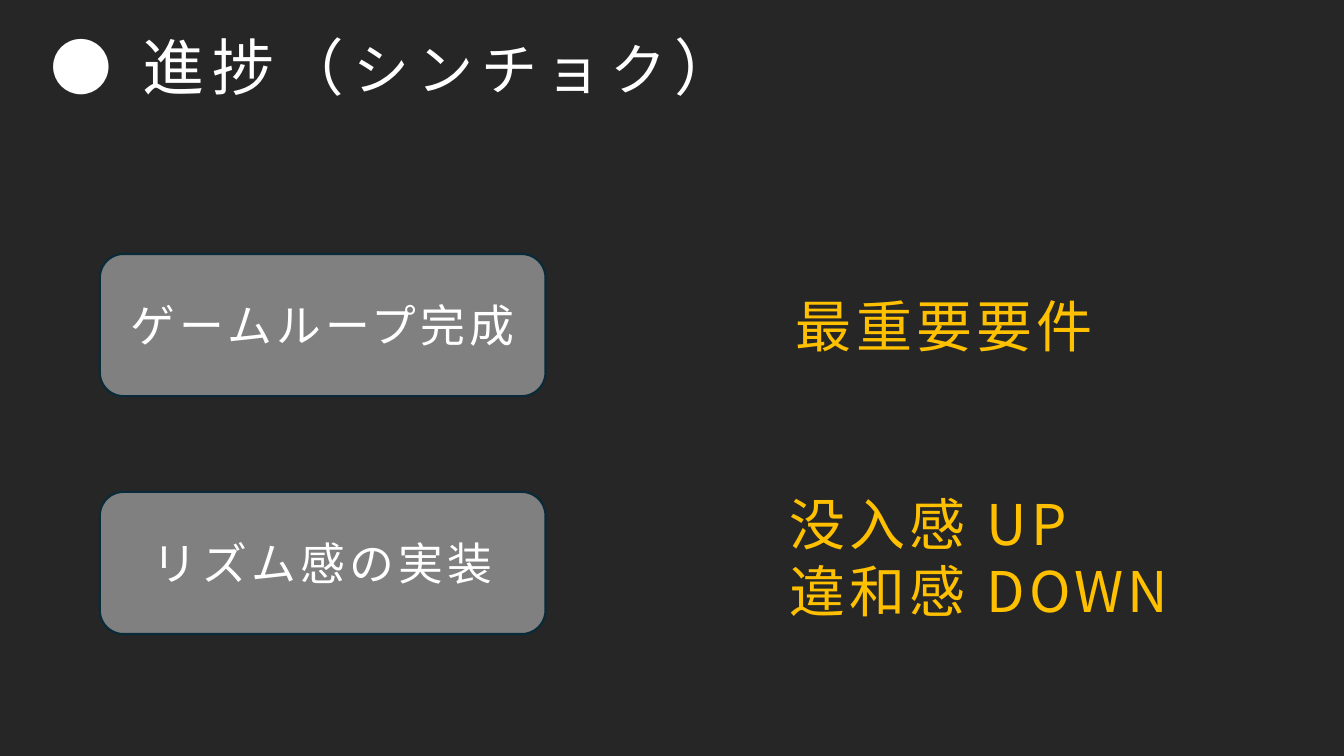
from pptx import Presentation
from pptx.dml.color import RGBColor
from pptx.enum.shapes import MSO_SHAPE
from pptx.enum.text import MSO_ANCHOR, MSO_AUTO_SIZE, PP_ALIGN
from pptx.util import Inches, Pt
from lxml.etree import SubElement
from pptx.oxml.ns import qn


def color(code):
    return RGBColor.from_string(code)


def style(part, size, code, gap):
    """Set size, colour, letter gap and typeface of a paragraph or run."""
    font = part.font
    font.size = Pt(size)
    font.color.rgb = color(code)
    font.name = FACE
    props = font._element if hasattr(font, "_element") else font._rPr
    props.set("spc", str(gap * 100))
    SubElement(props, qn("a:ea")).set("typeface", FACE)


FACE = "Noto Sans CJK JP"
WHITE, GOLD = "FFFFFF", "FFC000"

deck = Presentation()
deck.slide_width, deck.slide_height = Inches(13.33), Inches(7.5)
slide = deck.slides.add_slide(deck.slide_layouts[5])
slide.background.fill.solid()
slide.background.fill.fore_color.rgb = color("262626")

# Title with a smaller reading in brackets
title = slide.shapes.title
title.left, title.top = Inches(0.4), Inches(0.14)
title.width, title.height = Inches(11.5), Inches(1.11)
frame = title.text_frame
frame.auto_size = MSO_AUTO_SIZE.NONE
frame.vertical_anchor = MSO_ANCHOR.MIDDLE
head = frame.paragraphs[0]
head.alignment = PP_ALIGN.LEFT
head.line_spacing = 0.9
for text, size in [("● 進捗（", 44), ("シンチョク", 40), ("）", 44)]:
    run = head.add_run()
    run.text = text
    style(run, size, WHITE, 6)

# Finished tasks
for row, text in enumerate(["ゲームループ完成", "リズム感の実装"]):
    box = slide.shapes.add_shape(
        MSO_SHAPE.ROUNDED_RECTANGLE, Inches(0.99), Inches(2.52 + 2.36 * row),
        Inches(4.42), Inches(1.41))
    box.shadow.inherit = False
    box.fill.solid()
    box.fill.fore_color.rgb = color("808080")
    box.line.color.rgb = color("092A39")
    box.line.width = Pt(1.5)
    box.text_frame.vertical_anchor = MSO_ANCHOR.MIDDLE
    para = box.text_frame.paragraphs[0]
    para.text = text
    para.alignment = PP_ALIGN.CENTER
    style(para, 32, WHITE, 3)

# Effect of each task
notes = [
    (6.22, 2.84, 6.29, 0.77, PP_ALIGN.CENTER, ["最重要要件"]),
    (7.73, 4.8, 4.98, 1.45, PP_ALIGN.LEFT, ["没入感 UP", "違和感 DOWN"]),
]
for left, top, width, height, align, lines in notes:
    note = slide.shapes.add_textbox(
        Inches(left), Inches(top), Inches(width), Inches(height))
    frame = note.text_frame
    frame.word_wrap = True
    frame.auto_size = MSO_AUTO_SIZE.SHAPE_TO_FIT_TEXT
    frame.vertical_anchor = MSO_ANCHOR.MIDDLE
    frame.text = "\n".join(lines)
    for para in frame.paragraphs:
        para.alignment = align
        style(para, 40, GOLD, 3)

deck.save("out.pptx")
